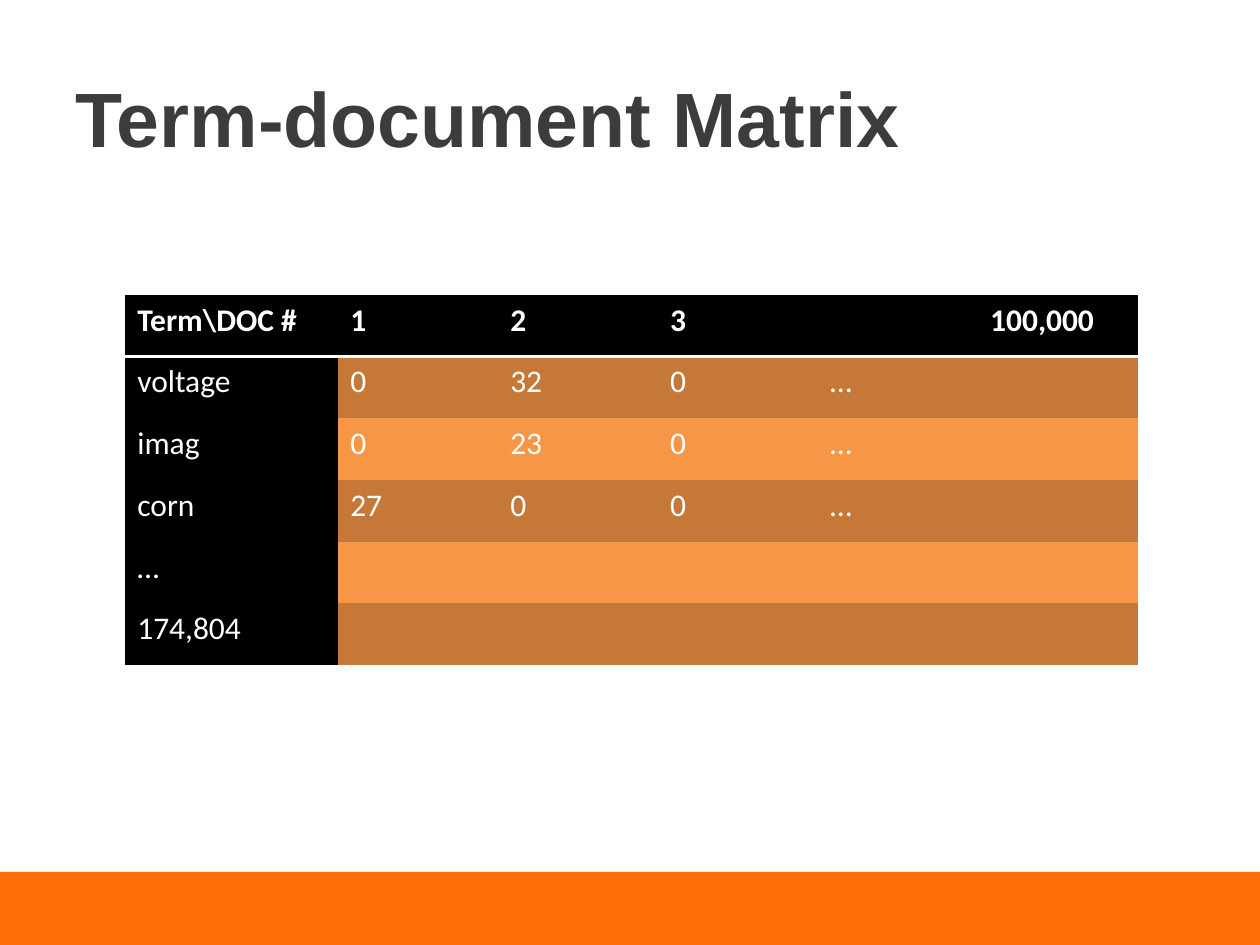
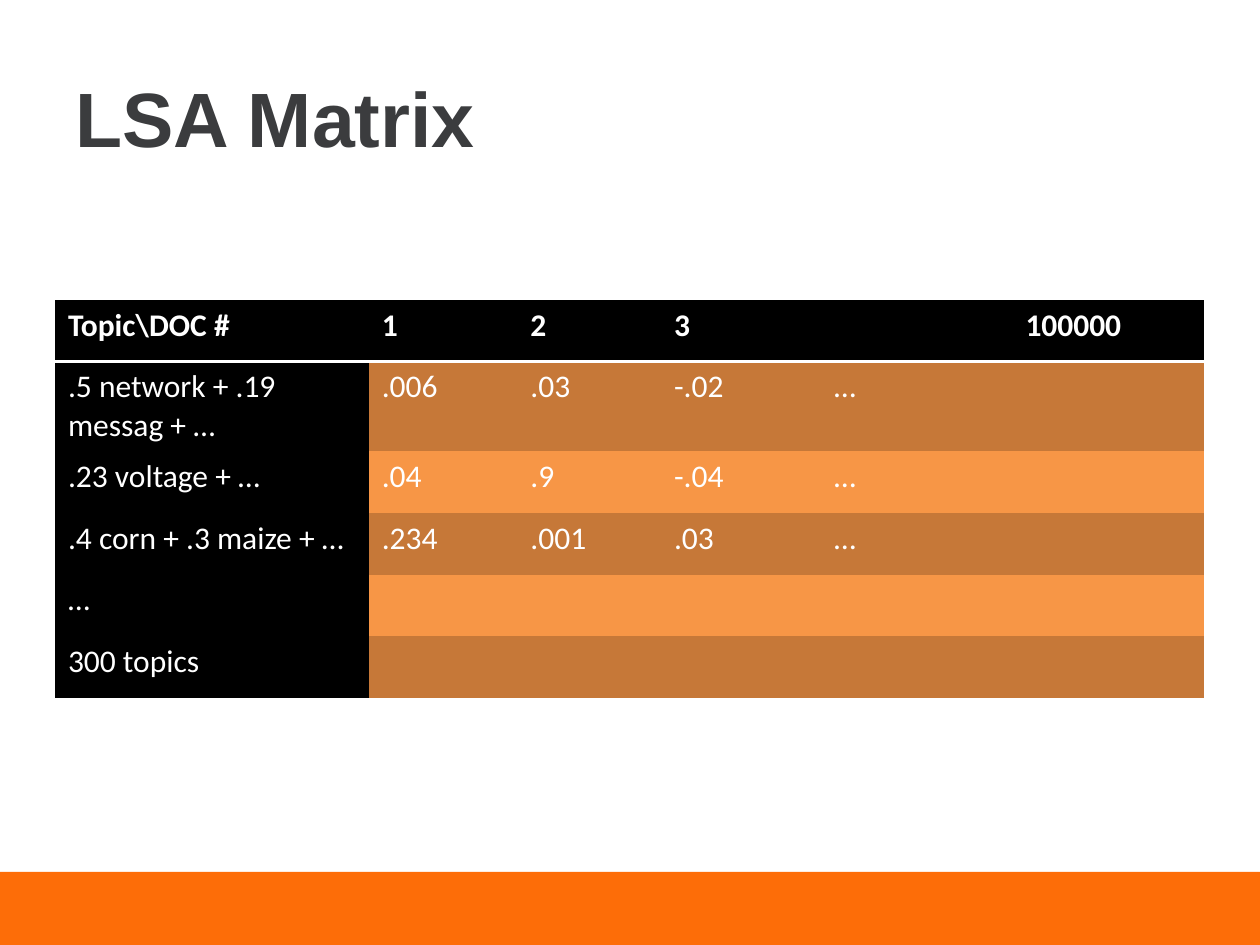
from lxml import etree
from pptx import Presentation
from pptx.dml.color import RGBColor
from pptx.enum.shapes import MSO_SHAPE
from pptx.enum.text import MSO_ANCHOR, PP_ALIGN
from pptx.oxml import parse_xml
from pptx.oxml.ns import nsdecls
from pptx.util import Inches, Pt

RECT = MSO_SHAPE.RECTANGLE
LEFT = PP_ALIGN.LEFT
MIDDLE = MSO_ANCHOR.MIDDLE
PLAIN = "{2D5ABB26-0587-4C30-8999-92F81FD0307C}"
COLORS = {
    "band": "FD6D08",
    "title": "3B3C3E",
    "head": "000000",
    "text": "FFFFFF",
    "dark": "C67838",
    "light": "F79646",
}
ROW = 0.49

PAGES = [
    {
        "title": "Term-document Matrix",
        "at": (0.99, 2.34, 8.01, 2.92),
        "cols": [1.69] + [1.27] * 5,
        "rows": [
            ["Term\\DOC #", "1", "2", "3", "", "100,000"],
            ["voltage", "0", "32", "0", "…", ""],
            ["imag", "0", "23", "0", "…", ""],
            ["corn", "27", "0", "0", "…", ""],
            ["…"] + [""] * 5,
            ["174,804"] + [""] * 5,
        ],
    },
    {
        "title": "LSA Matrix",
        "at": (0.44, 2.38, 9.13, 3.14),
        "cols": [2.49, 1.18, 1.14, 1.27, 1.52, 1.52],
        "rows": [
            ["Topic\\DOC #", "1", "2", "3", "", "100000"],
            [".5 network + .19 messag + …", ".006", ".03", "-.02", "…", ""],
            [".23 voltage + …", ".04", ".9", "-.04", "…", ""],
            [".4 corn + .3 maize + …", ".234", ".001", ".03", "…", ""],
            ["…"] + [""] * 5,
            ["300 topics"] + [""] * 5,
        ],
    },
]


def color(name):
    return RGBColor.from_string(COLORS[name])


def write(para, text, font, size, tint, bold):
    run = para.add_run()
    run.text = text
    run.font.name = font
    run.font.size = Pt(size)
    run.font.bold = bold
    run.font.color.rgb = color(tint)


deck = Presentation()
deck.slide_width = Inches(10)
deck.slide_height = Inches(7.5)
layout = deck.slide_layouts[5]

for page in PAGES:
    slide = deck.slides.add_slide(layout)

    if page is PAGES[0]:
        band = slide.shapes.add_shape(RECT, 0, Inches(6.92), Inches(10), Inches(0.58))
        band.shadow.inherit = False
        band.fill.solid()
        band.fill.fore_color.rgb = color("band")
        band.line.fill.background()
        band.element.xpath(".//p:cNvPr")[0].set("id", "20")
        layout.shapes.element.insert(2, band.element)

    title = slide.shapes.title
    title.left, title.top = Inches(0.5), Inches(0.3)
    title.width, title.height = Inches(9), Inches(1.25)
    title.text_frame.vertical_anchor = MIDDLE
    para = title.text_frame.paragraphs[0]
    para.alignment = LEFT
    write(para, page["title"], "Arial", 44, "title", True)

    rows, cols = page["rows"], page["cols"]
    box = [Inches(n) for n in page["at"]]
    frame = slide.shapes.add_table(len(rows), len(cols), *box)
    table = frame.table
    table.horz_banding = False
    table.first_col = True
    frame.element.xpath(".//a:tableStyleId")[0].text = PLAIN
    for col, width in zip(table.columns, cols):
        col.width = Inches(width)
    for row in table.rows:
        row.height = Inches(ROW)
    frame.width, frame.height = box[2:]

    for r, row in enumerate(rows):
        for c, text in enumerate(row):
            cell = table.cell(r, c)
            if r == 0:
                edge = parse_xml(f'<a:lnB {nsdecls("a")} w="{Pt(2)}"/>')
                fill = etree.SubElement(edge, edge.tag.replace("lnB", "solidFill"))
                tint = etree.SubElement(fill, edge.tag.replace("lnB", "srgbClr"))
                tint.set("val", COLORS["text"])
                cell._tc.get_or_add_tcPr().append(edge)
            tone = "head" if r == 0 or c == 0 else "dark" if r % 2 else "light"
            cell.fill.solid()
            cell.fill.fore_color.rgb = color(tone)
            if text:
                para = cell.text_frame.paragraphs[0]
                write(para, text, "Calibri", 18, "text", r == 0)

deck.save("out.pptx")
